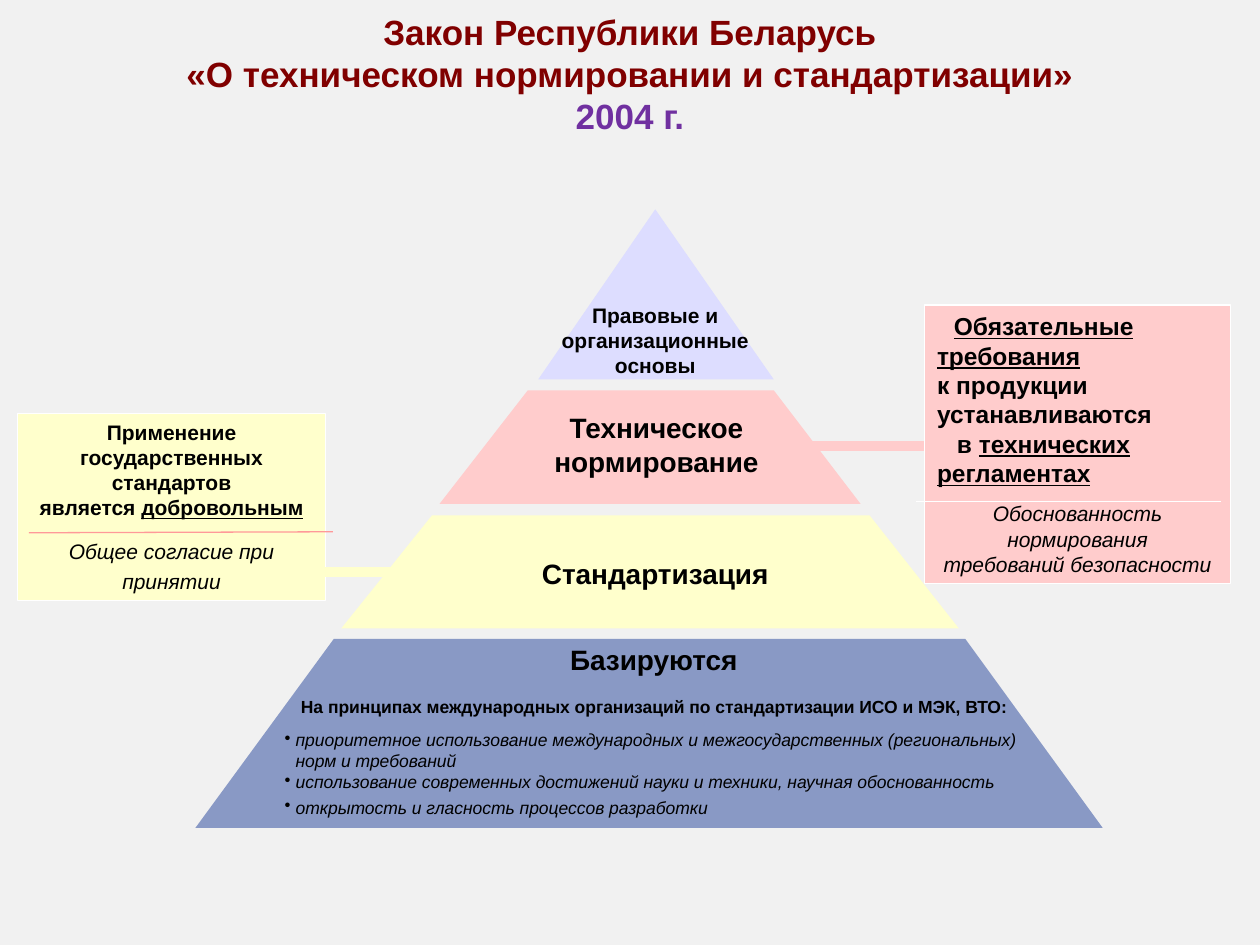
from copy import deepcopy
from dataclasses import dataclass

from lxml.etree import SubElement
from pptx import Presentation
from pptx.dml.color import RGBColor
from pptx.enum.shapes import MSO_CONNECTOR as Connector, MSO_SHAPE as Preset
from pptx.enum.text import MSO_ANCHOR as Anchor, PP_ALIGN as Align
from pptx.oxml.ns import qn
from pptx.util import Cm, Pt

COLORS = {
    "page": "F1F1F1", "black": "000000", "white": "FFFFFF", "maroon": "800000",
    "violet": "7030A0", "blue": "8999C5", "yellow": "FFFFCC", "pink": "FFCCCC",
    "lilac": "DDDDFF", "salmon": "FF9999",
}
BULLET_HANG = 0.22


@dataclass
class Span:
    text: str
    underline: bool = False
    color: str = ""


@dataclass
class Para:
    spans: list[Span]
    size: float
    bold: bool = True
    italic: bool = False
    color: str = "black"
    align: Align = Align.CENTER
    before: float = 0
    spacing: float = 1.0
    indent: float = 0
    bullet: bool = False


@dataclass
class TextBox:
    left: float
    top: float
    width: float
    height: float
    paras: list[Para]
    fill: str = ""
    wrap: bool = True


@dataclass
class Tier:
    top: float
    bottom: float
    upper: tuple[float, ...]
    lower: tuple[float, float]
    fill: str


@dataclass
class Line:
    start: tuple[float, float]
    end: tuple[float, float]
    color: str
    width: float


def rgb(name: str) -> RGBColor:
    return RGBColor.from_string(COLORS[name])


def write_span(para, span: Span, style: Para) -> None:
    """Add a span; a newline in it becomes a line break of the same text size."""
    for index, piece in enumerate(span.text.split("\n")):
        if index:
            para.add_line_break()
            para._p.findall(qn("a:br"))[-1].append(deepcopy(para.runs[-1].font._element))
        if not piece:
            continue
        run = para.add_run()
        run.text = piece
        font = run.font
        font.name, font.size = "Arial", Pt(style.size)
        font.bold, font.italic, font.underline = style.bold, style.italic, span.underline
        font.color.rgb = rgb(span.color or style.color)


def write_para(para, style: Para) -> None:
    para.alignment = style.align
    para.line_spacing = style.spacing
    para.space_before = Pt(style.before)
    props = para._p.get_or_add_pPr()
    if style.bullet:
        props.set("marL", str(Cm(BULLET_HANG)))
        props.set("indent", str(-Cm(BULLET_HANG)))
        SubElement(props, qn("a:buChar")).set("char", "•")
    elif style.indent:
        props.set("indent", str(Cm(style.indent)))
    for span in style.spans:
        write_span(para, span, style)


def draw_box(page, box: TextBox) -> None:
    place = [Cm(n) for n in (box.left, box.top, box.width, box.height)]
    if box.fill:
        shape = page.shapes.add_shape(Preset.RECTANGLE, *place)
        shape.shadow.inherit = False
        shape.fill.solid()
        shape.fill.fore_color.rgb = rgb(box.fill)
        shape.line.color.rgb = rgb("white")
        shape.line.width = Pt(0.75)
    else:
        shape = page.shapes.add_textbox(*place)
    frame = shape.text_frame
    frame.word_wrap = box.wrap
    frame.vertical_anchor = Anchor.TOP
    for index, style in enumerate(box.paras):
        write_para(frame.add_paragraph() if index else frame.paragraphs[0], style)


def draw_tier(page, tier: Tier) -> None:
    left, right = tier.lower
    corners = [(x, tier.top) for x in tier.upper] + [(right, tier.bottom)]
    outline = page.shapes.build_freeform(Cm(left), Cm(tier.bottom))
    outline.add_line_segments([(Cm(x), Cm(y)) for x, y in corners], close=True)
    shape = outline.convert_to_shape()
    shape.shadow.inherit = False
    shape.fill.solid()
    shape.fill.fore_color.rgb = rgb(tier.fill)
    shape.line.fill.background()


def draw_line(page, line: Line) -> None:
    ends = [Cm(n) for n in line.start + line.end]
    connector = page.shapes.add_connector(Connector.STRAIGHT, *ends)
    connector.line.color.rgb = rgb(line.color)
    connector.line.width = Pt(line.width)
    SubElement(connector._element.spPr, qn("a:effectLst"))


def bullet(text: str, spacing: float = 1.0) -> Para:
    return Para([Span(text)], 10, bold=False, italic=True, align=Align.LEFT,
                spacing=spacing, bullet=True)


VOLUNTARY = TextBox(0.36, 8.33, 6.2, 3.78, [
    Para([Span("Применение\nгосударственных стандартов\nявляется "),
          Span("добровольным", underline=True)], 12),
    Para([Span("Общее согласие при принятии")], 12, bold=False, italic=True,
         before=7.5, spacing=1.2),
], fill="yellow")

TIERS = [
    Tier(12.88, 16.69, (6.73, 19.46), (3.94, 22.23), "blue"),
    Tier(10.39, 12.67, (8.71, 17.53), (6.88, 19.33), "yellow"),
    Tier(7.87, 10.16, (10.64, 15.6), (8.86, 17.35), "pink"),
    Tier(4.22, 7.65, (13.21,), (10.85, 15.6), "lilac"),
]

TIER_LABELS = [
    TextBox(10.77, 5.97, 4.88, 1.78, [Para([Span("Правовые и организационные основы")], 12)]),
    TextBox(7.52, 10.95, 11.38, 1.07, [Para([Span("Стандартизация")], 16, spacing=1.2)]),
    TextBox(10.06, 8.15, 6.35, 1.63, [Para([Span("Техническое\nнормирование")], 16)]),
    TextBox(5.79, 12.7, 14.78, 1.9, [
        Para([Span("Базируются")], 16, spacing=1.2),
        Para([Span("На принципах международных организаций по стандартизации "
                   "ИСО и МЭК, ВТО:")], 10, before=11),
    ], wrap=False),
]

LINKS = [
    Line((6.3, 11.53), (8, 11.53), "yellow", 6),
    Line((15.52, 8.99), (18.72, 8.99), "pink", 6),
]

TITLE = TextBox(0, 0.08, 25.4, 2.79, [
    Para([Span("Закон Республики Беларусь")], 20, color="maroon"),
    Para([Span("«О техническом нормировании и стандартизации»\n"),
          Span("2004 г.", color="violet")], 20, color="maroon"),
])

MANDATORY = TextBox(18.64, 6.15, 6.17, 5.61, [
    Para([Span("Обязательные требования", underline=True),
          Span("\nк продукции устанавливаются")], 14, align=Align.LEFT, indent=0.34),
    Para([Span("в "), Span("технических регламентах", underline=True)], 14,
         align=Align.LEFT, indent=0.4),
    Para([Span("Обоснованность нормирования\nтребований безопасности")], 12,
         bold=False, italic=True, before=7.5),
], fill="pink")

PRINCIPLES = TextBox(5.49, 14.58, 15.95, 2.03, [
    bullet("приоритетное использование международных и межгосударственных "
           "(региональных)\nнорм и требований"),
    bullet("использование современных достижений науки и техники, научная обоснованность"),
    bullet("открытость и гласность процессов разработки", spacing=1.2),
])

DIVIDERS = [
    Line((0.58, 10.74), (6.71, 10.72), "salmon", 0.75),
    Line((18.47, 10.11), (24.61, 10.11), "white", 0.75),
]


def main() -> None:
    deck = Presentation()
    deck.slide_width, deck.slide_height = Cm(25.4), Cm(19.05)
    page = deck.slides.add_slide(deck.slide_layouts[6])
    page.background.fill.solid()
    page.background.fill.fore_color.rgb = rgb("page")
    painters = {TextBox: draw_box, Tier: draw_tier, Line: draw_line}
    for item in [VOLUNTARY, *TIERS, *TIER_LABELS, *LINKS, TITLE, MANDATORY,
                 PRINCIPLES, *DIVIDERS]:
        painters[type(item)](page, item)
    deck.save("out.pptx")


if __name__ == "__main__":
    main()
